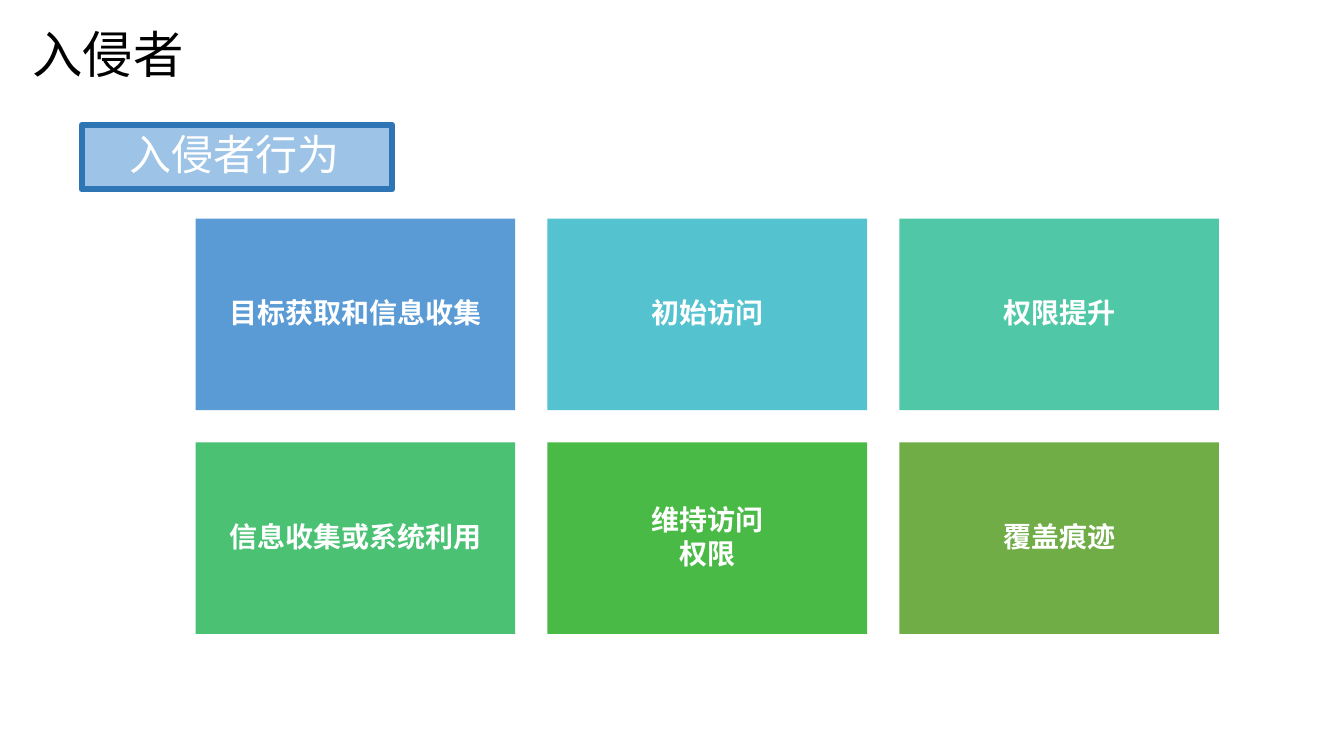
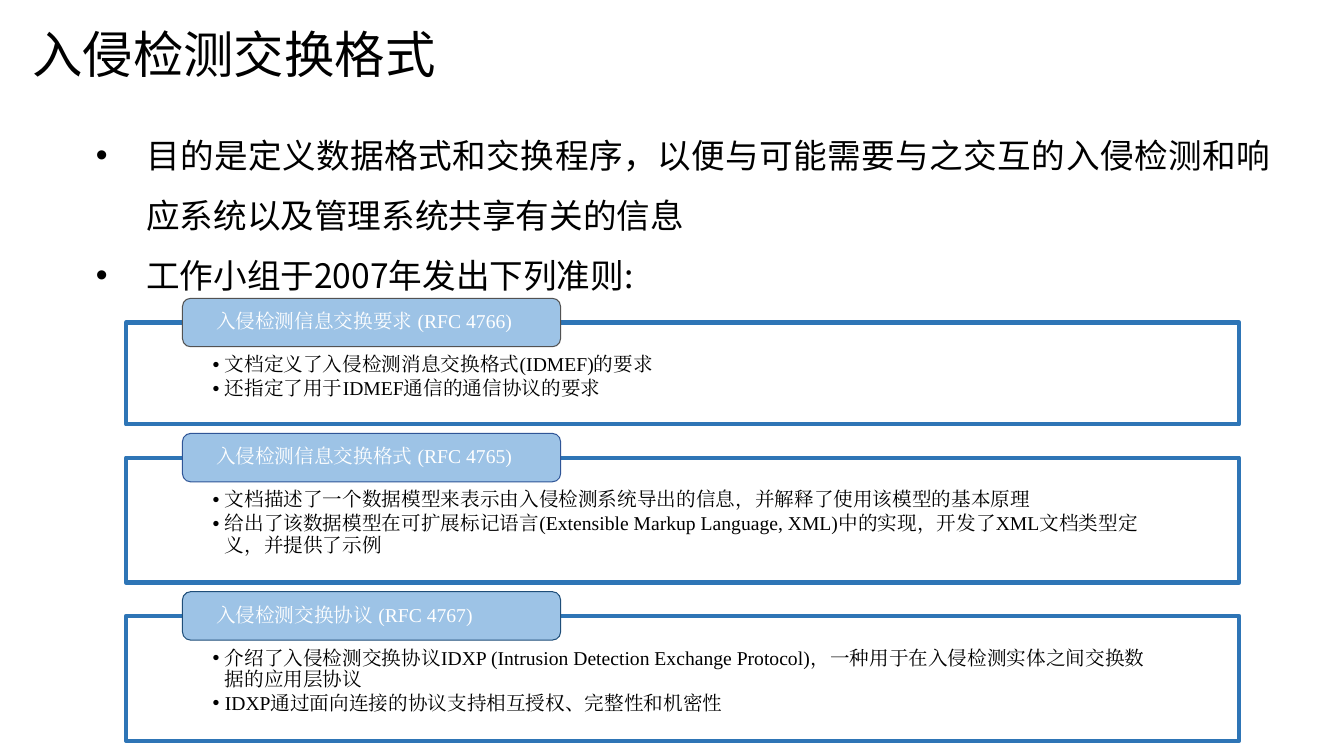
from lxml import etree
from pptx import Presentation
from pptx.dml.color import RGBColor
from pptx.enum.shapes import MSO_SHAPE
from pptx.enum.text import MSO_ANCHOR, MSO_AUTO_SIZE, PP_ALIGN
from pptx.oxml.ns import qn
from pptx.util import Pt

RECTANGLE, ROUNDED = MSO_SHAPE.RECTANGLE, MSO_SHAPE.ROUNDED_RECTANGLE
TOP, MIDDLE = MSO_ANCHOR.TOP, MSO_ANCHOR.MIDDLE
LEFT, CENTER, JUSTIFY = PP_ALIGN.LEFT, PP_ALIGN.CENTER, PP_ALIGN.JUSTIFY
NO_FIT = MSO_AUTO_SIZE.NONE

PX = 9144
SANS, SERIF = "Noto Sans CJK SC", "Times New Roman"
BLACK = RGBColor(0x00, 0x00, 0x00)
WHITE = RGBColor(0xFF, 0xFF, 0xFF)
PALE_BLUE = RGBColor(0x9D, 0xC3, 0xE6)
BLUE = RGBColor(0x2E, 0x75, 0xB6)
GRAY = RGBColor(0x52, 0x52, 0x52)
NAVY = RGBColor(0x2F, 0x55, 0x97)
DEEP_BLUE = RGBColor(0x1F, 0x4E, 0x79)

BEHAVIOR_TITLE = "入侵者"
BEHAVIOR_LABEL = "入侵者行为"
BEHAVIORS = [
    (["目标获取和信息收集"], RGBColor(0x5B, 0x9B, 0xD5)),
    (["初始访问"], RGBColor(0x55, 0xC3, 0xCF)),
    (["权限提升"], RGBColor(0x50, 0xC8, 0xA7)),
    (["信息收集或系统利用"], RGBColor(0x4B, 0xC1, 0x74)),
    (["维持访问", "权限"], RGBColor(0x4A, 0xBA, 0x46)),
    (["覆盖痕迹"], RGBColor(0x70, 0xAD, 0x47)),
]

FORMAT_TITLE = "入侵检测交换格式"
FORMAT_POINTS = [
    "目的是定义数据格式和交换程序，以便与可能需要与之交互的入侵检测和响应系统以及管理系统共享有关的信息",
    "工作小组于2007年发出下列准则:",
]
STANDARDS = [
    ("入侵检测信息交换要求 (RFC 4766)", GRAY, 101, [
        "文档定义了入侵检测消息交换格式(IDMEF)的要求",
        "还指定了用于IDMEF通信的通信协议的要求",
    ]),
    ("入侵检测信息交换格式 (RFC 4765)", NAVY, 124, [
        "文档描述了一个数据模型来表示由入侵检测系统导出的信息，并解释了使用该模型的基本原理",
        "给出了该数据模型在可扩展标记语言(Extensible Markup Language, XML)中的实现，开发了XML文档类型定义，并提供了示例",
    ]),
    ("入侵检测交换协议 (RFC 4767)", DEEP_BLUE, 124, [
        "介绍了入侵检测交换协议IDXP (Intrusion Detection Exchange Protocol)，一种用于在入侵检测实体之间交换数据的应用层协议",
        "IDXP通过面向连接的协议支持相互授权、完整性和机密性",
    ]),
]


def place(shape, left, top, width, height):
    shape.left, shape.top = left * PX, top * PX
    shape.width, shape.height = width * PX, height * PX


def write(shape, lines, size, color=BLACK, font=SANS, bold=False, align=LEFT,
          anchor=MIDDLE, insets=(0, 0, 0, 0), spacing=0.9, after=0, hang=0):
    frame = shape.text_frame
    frame.word_wrap = True
    frame.auto_size = NO_FIT
    frame.vertical_anchor = anchor
    (frame.margin_left, frame.margin_top,
     frame.margin_right, frame.margin_bottom) = [inset * PX for inset in insets]
    for index, line in enumerate(lines):
        para = frame.add_paragraph() if index else frame.paragraphs[0]
        para.alignment = align
        para.line_spacing = spacing
        para.space_before, para.space_after = Pt(0), Pt(after)
        if hang:
            properties = para._p.get_or_add_pPr()
            properties.set("marL", str(hang * PX))
            properties.set("indent", str(-hang * PX))
            etree.SubElement(properties, qn("a:buFont"), typeface="Arial")
            etree.SubElement(properties, qn("a:buChar"), char="•")
        span = para.add_run()
        span.text = line
        span.font.size = Pt(size)
        span.font.bold = bold
        span.font.color.rgb = color
        span.font.name = font
        etree.SubElement(span._r.get_or_add_rPr(), qn("a:ea"), typeface=font)


def add_box(page, bounds, kind=RECTANGLE, fill=None, line=None, weight=0):
    box = page.shapes.add_shape(kind, 0, 0, 0, 0)
    place(box, *bounds)
    box.shadow.inherit = False
    if fill is None:
        box.fill.background()
    else:
        box.fill.solid()
        box.fill.fore_color.rgb = fill
    if line is None:
        box.line.fill.background()
    else:
        box.line.color.rgb = line
        box.line.width = Pt(weight)
    return box


def add_page(deck, layout, title):
    page = deck.slides.add_slide(deck.slide_layouts[layout])
    place(page.shapes.title, 21, 0, 591, 106)
    write(page.shapes.title, [title], 36, insets=(11, 6, 11, 6), spacing=1.0)
    return page


def build_behaviors(deck):
    page = add_page(deck, 5, BEHAVIOR_TITLE)
    label = add_box(page, (81, 124, 308, 64), fill=PALE_BLUE, line=BLUE, weight=4.33)
    write(label, [BEHAVIOR_LABEL], 30, WHITE, insets=(47, 0, 47, 0))
    width, height, gap, columns = 317, 190, 32, 3
    for index, (lines, color) in enumerate(BEHAVIORS):
        row, column = divmod(index, columns)
        bounds = (194 + column * (width + gap), 217 + row * (height + gap), width, height)
        tile = add_box(page, bounds, fill=color)
        write(tile, lines, 20, WHITE, bold=True, align=CENTER,
              insets=(8, 8, 8, 8), after=2.5)


def build_formats(deck):
    page = add_page(deck, 1, FORMAT_TITLE)
    body = page.placeholders[1]
    place(body, 85, 109, 1185, 185)
    write(body, FORMAT_POINTS, 24, align=JUSTIFY, anchor=TOP,
          insets=(10, 5, 10, 5), spacing=Pt(43), hang=50)
    top, gap = 320, 33
    for heading, outline, height, lines in STANDARDS:
        panel = add_box(page, (125, top, 1104, height), line=BLUE, weight=3)
        write(panel, lines, 14, font=SERIF, anchor=TOP,
              insets=(86, 32, 86, 11), after=2, hang=12)
        tab = add_box(page, (181, top - 24, 375, 48), ROUNDED, PALE_BLUE, outline, 0.75)
        write(tab, [heading], 14, WHITE, font=SERIF, insets=(31, 0, 31, 0))
        top += height + gap


def main():
    deck = Presentation()
    deck.slide_width, deck.slide_height = 1333 * PX, 750 * PX
    build_behaviors(deck)
    build_formats(deck)
    deck.save("out.pptx")


if __name__ == "__main__":
    main()
